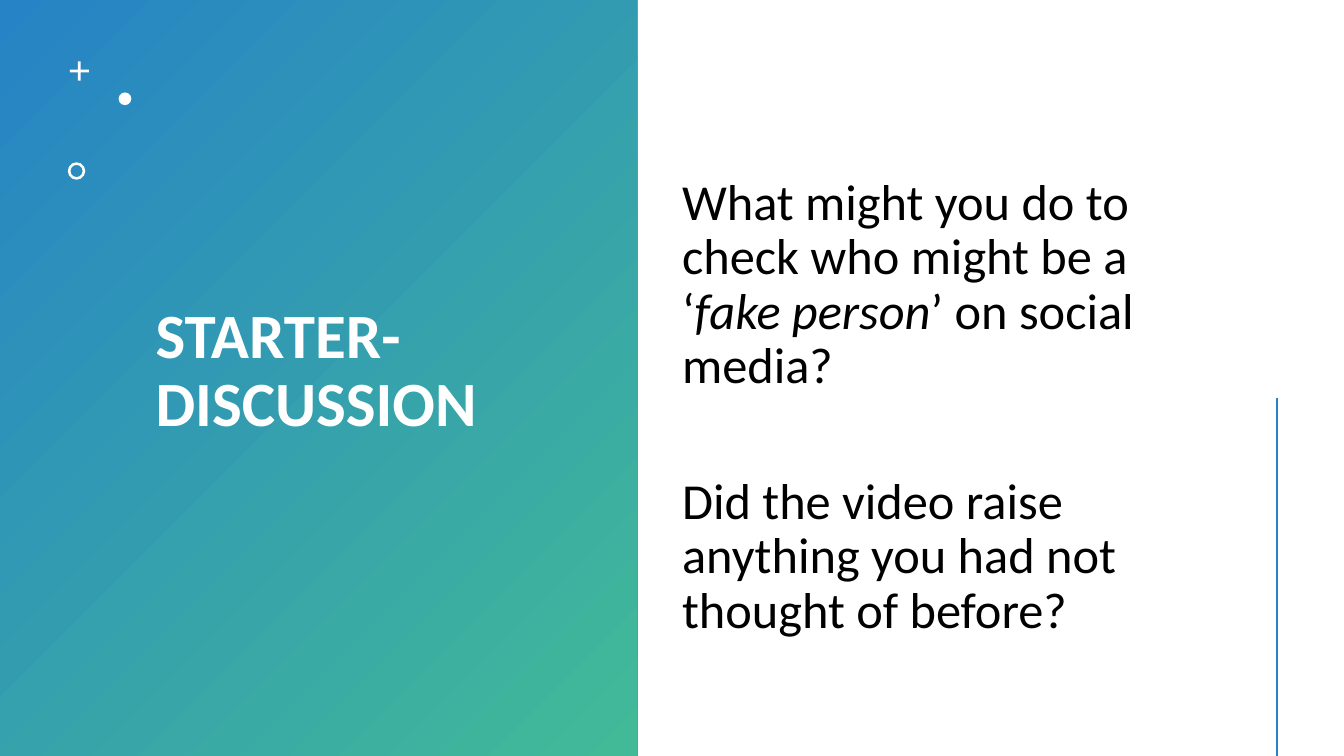
from pptx import Presentation
from pptx.dml.color import RGBColor
from pptx.enum.shapes import MSO_CONNECTOR, MSO_SHAPE
from pptx.enum.text import MSO_ANCHOR, MSO_AUTO_SIZE, PP_ALIGN
from pptx.oxml.ns import qn
from pptx.util import Cm, Pt
from lxml.etree import SubElement

BLUE, GREEN, WHITE, BLACK = "2683C6", "42BA97", "FFFFFF", "000000"


def color(code):
    return RGBColor.from_string(code)


class Deck:
    font = "Calibri"

    def __init__(self, wide, high):
        self.prs = Presentation()
        self.prs.slide_width, self.prs.slide_height = Cm(wide), Cm(high)

    def start(self):
        self.slide = self.prs.slides.add_slide(self.prs.slide_layouts[5])
        self.shapes = self.slide.shapes

    def shape(self, kind, box, fill, ratio=None):
        item = self.shapes.add_shape(kind, *map(Cm, box))
        item.shadow.inherit = False
        item.line.fill.background()
        if ratio is not None:
            item.adjustments[0] = ratio
        item.fill.solid()
        item.fill.fore_color.rgb = color(fill)
        return item

    def panel(self, box, first, last):
        item = self.shape(MSO_SHAPE.RECTANGLE, box, first)
        item.fill.gradient()
        item.fill.gradient_angle = 315
        for stop, code, place in zip(item.fill.gradient_stops, (first, last), (0, 1)):
            stop.color.rgb = color(code)
            stop.position = place
        # Keep the title in front of the panel
        self.shapes.title.element.addprevious(item.element)

    def fill_text(self, item, paras, size, code, bold=False, gap=0, left=0.25, top=0.13):
        frame = item.text_frame
        frame.word_wrap = True
        frame.auto_size = MSO_AUTO_SIZE.NONE
        frame.vertical_anchor = MSO_ANCHOR.MIDDLE
        frame.margin_left, frame.margin_top = Cm(left), Cm(top)
        for num, runs in enumerate(paras):
            para = frame.add_paragraph() if num else frame.paragraphs[0]
            para.alignment = PP_ALIGN.LEFT
            para.line_spacing = 0.9
            para.space_before = Pt(gap if num else 0)
            for text, slant in runs:
                run = para.add_run()
                run.text = text
                font = run.font
                font.name, font.size = self.font, Pt(size)
                font.bold, font.italic = bold, slant
                font.color.rgb = color(code)

    def title(self, box, paras, **style):
        item = self.shapes.title
        item.left, item.top, item.width, item.height = map(Cm, box)
        self.fill_text(item, paras, **style)

    def text(self, box, paras, **style):
        self.fill_text(self.shapes.add_textbox(*map(Cm, box)), paras, **style)

    def line(self, ends, code, width):
        item = self.shapes.add_connector(MSO_CONNECTOR.STRAIGHT, *map(Cm, ends))
        item.line.color.rgb = color(code)
        item.line.width = Pt(width)
        SubElement(item.element.spPr, qn("a:effectLst"))


def main():
    deck = Deck(33.87, 19.05)
    deck.start()

    # Left panel with the title
    deck.panel((0, 0, 16.06, 19.05), BLUE, GREEN)
    deck.title((3.3, 1.07, 11.13, 16.59), [[("STARTER- DISCUSSION", False)]],
               size=45, code=WHITE, bold=True, left=0.62)

    # Small white marks: plus, dot and ring
    deck.shape(MSO_SHAPE.CROSS, (1.76, 1.55, 0.48, 0.48), WHITE, 0.43)
    deck.shape(MSO_SHAPE.OVAL, (2.99, 2.33, 0.32, 0.32), WHITE)
    deck.shape(MSO_SHAPE.DONUT, (1.71, 4.09, 0.44, 0.44), WHITE, 0.15)

    # Questions
    deck.text((16.94, 1.07, 13.84, 16.59), [
        [("What might you do to check who might be a ‘", False),
         ("fake person", True),
         ("’ on social media?", False)],
        [("Did the video raise anything you had not thought of before?", False)],
    ], size=36, code=BLACK, gap=58, top=1.96)

    # Accent line at the right
    deck.line((32.18, 10.02, 32.18, 19.05), BLUE, 2)

    deck.prs.save("out.pptx")


if __name__ == "__main__":
    main()
